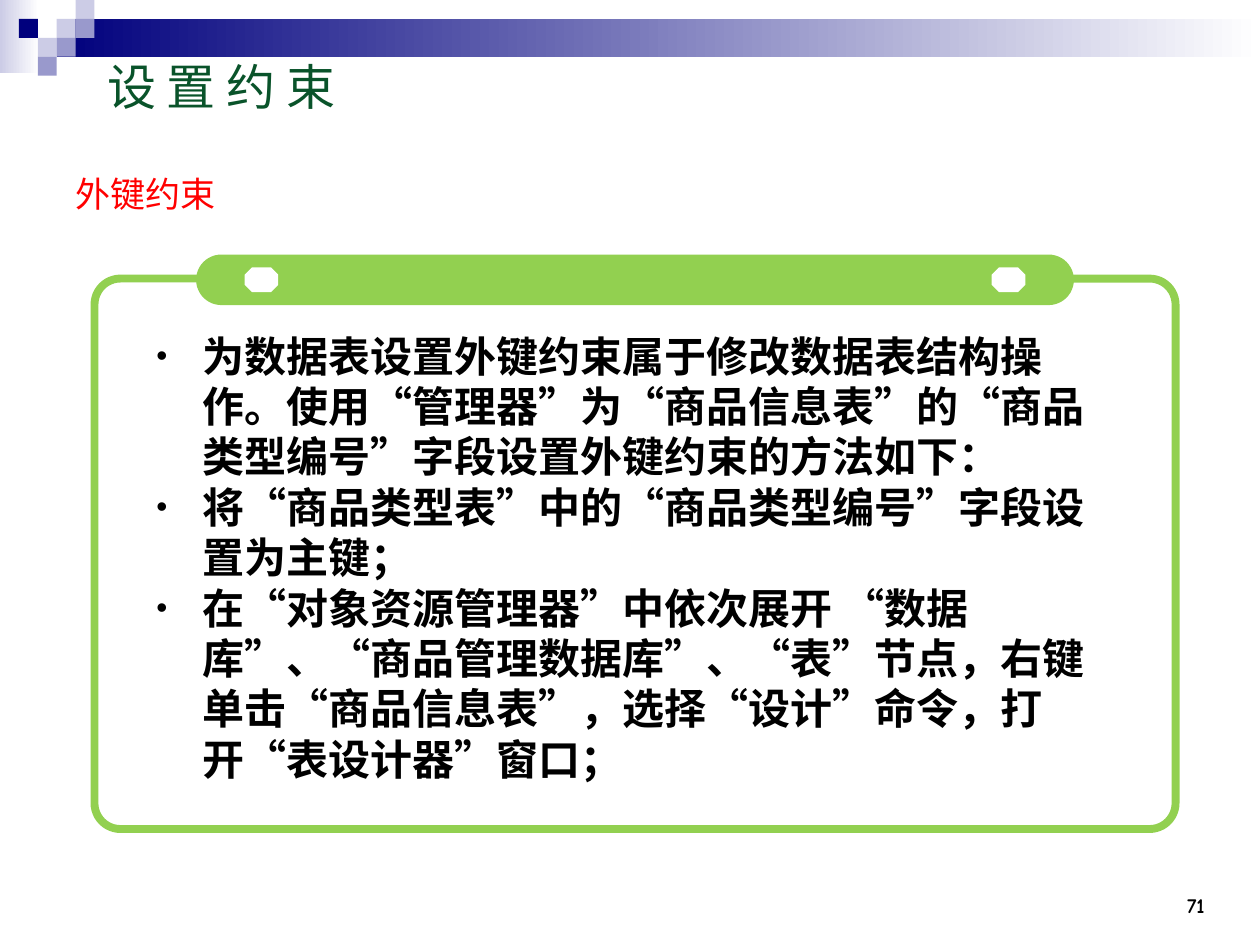
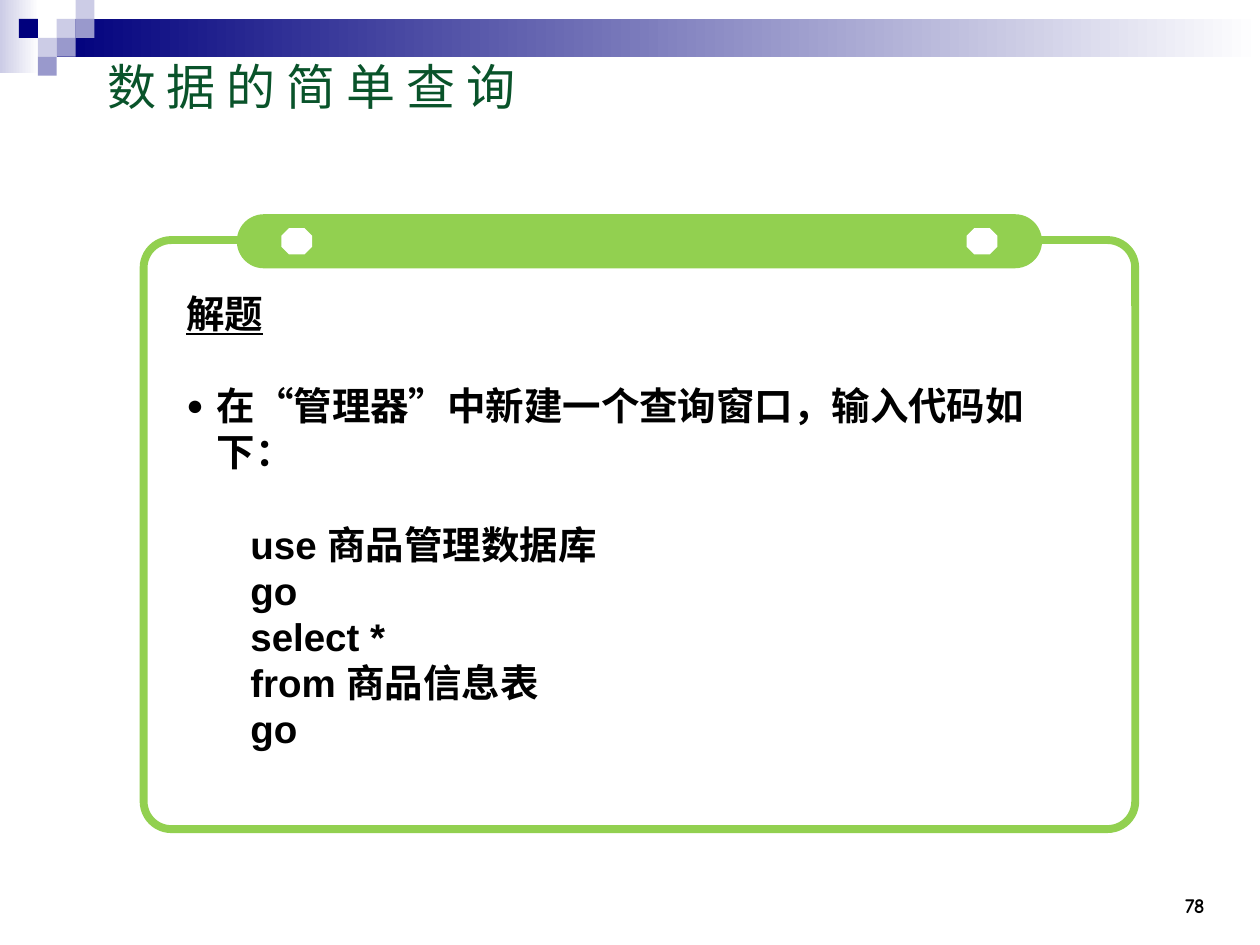
from lxml.etree import SubElement
from pptx import Presentation
from pptx.dml.color import RGBColor
from pptx.enum.lang import MSO_LANGUAGE_ID as Language
from pptx.enum.shapes import MSO_SHAPE as Shape
from pptx.enum.text import MSO_ANCHOR as Anchor, MSO_AUTO_SIZE as AutoSize, PP_ALIGN as Align
from pptx.oxml.ns import qn
from pptx.util import Inches, Pt

COLORS = {
    "navy": "00007D",
    "lilac": "CCCCE6",
    "violet": "9999CC",
    "title": "09532A",
    "subtitle": "FF0000",
    "panel": "92D050",
    "text": "000000",
    "white": "FFFFFF",
}
CJK_FONT = "Noto Sans CJK SC"
LATIN_FONT = "Arial"
NUMBER_FONT = "Comic Neue"
LINE_RATIO = 1.2

# Corner mosaic: column, row, colour
CELL = 0.15
MOSAIC = [
    (3, 1, "lilac"), (4, 0, "lilac"), (4, 1, "violet"), (2, 2, "lilac"),
    (1, 1, "navy"), (3, 2, "violet"), (2, 3, "violet"),
]

CONSTRAINT_STEPS = [
    "为数据表设置外键约束属于修改数据表结构操作。使用“管理器”为“商品信息表”的“商品类型编号”字段设置外键约束的方法如下：",
    "将“商品类型表”中的“商品类型编号”字段设置为主键；",
    "在“对象资源管理器”中依次展开 “数据库”、“商品管理数据库”、“表”节点，右键单击“商品信息表”，选择“设计”命令，打开“表设计器”窗口；",
]
QUERY_HEADING = "解题"
QUERY_STEP = "在“管理器”中新建一个查询窗口，输入代码如下："
QUERY_CODE = [
    "      use 商品管理数据库",
    "      go",
    "      select *",
    "      from 商品信息表",
    "      go",
]


def color(name):
    return RGBColor.from_string(COLORS[name])


def place(shape, left, top, width, height):
    shape.left, shape.top = Inches(left), Inches(top)
    shape.width, shape.height = Inches(width), Inches(height)


# Text
def set_bullet(paragraph, char=None, indent=0):
    """Give the paragraph a hanging bullet, or none at all."""
    properties = paragraph._p.get_or_add_pPr()
    properties.set("marL", str(Inches(indent)))
    properties.set("indent", str(-Inches(indent)))
    if char is None:
        SubElement(properties, qn("a:buNone"))
        return
    bullet_color = SubElement(properties, qn("a:buClr"))
    SubElement(bullet_color, qn("a:srgbClr")).set("val", COLORS["text"])
    SubElement(properties, qn("a:buSzPct")).set("val", "75000")
    SubElement(properties, qn("a:buFont")).set("typeface", LATIN_FONT)
    SubElement(properties, qn("a:buChar")).set("char", char)


def format_runs(paragraph, size, font_name, color_name="text", bold=False, underline=False):
    for run in paragraph.runs:
        font = run.font
        font.name, font.size = font_name, Pt(size)
        font.bold, font.underline = bold, underline
        font.color.rgb = color(color_name)
        font.language_id = Language.SIMPLIFIED_CHINESE
        latin = run._r.get_or_add_rPr().find(qn("a:latin"))
        east_asian = latin.makeelement(qn("a:ea"), {"typeface": CJK_FONT})
        latin.addnext(east_asian)


def add_label(slide, box, text, size, font_name, color_name="text", bold=False,
              align=Align.LEFT, anchor=Anchor.TOP):
    text_frame = slide.shapes.add_textbox(*map(Inches, box)).text_frame
    text_frame.word_wrap = True
    text_frame.vertical_anchor = anchor
    text_frame.text = text
    paragraph = text_frame.paragraphs[0]
    paragraph.alignment = align
    format_runs(paragraph, size, font_name, color_name, bold)


def set_title(slide, text):
    title = slide.shapes.title
    place(title, 0.75, 0.21, 6.8, 0.95)
    text_frame = title.text_frame
    text_frame.text = text
    text_frame.auto_size = AutoSize.NONE
    text_frame.vertical_anchor = Anchor.MIDDLE
    paragraph = text_frame.paragraphs[0]
    paragraph.alignment = Align.LEFT
    format_runs(paragraph, 28, CJK_FONT, "title")


def fill_body(slide, box, lines, size):
    """Fill the body placeholder and return its paragraphs."""
    body = slide.placeholders[1]
    place(body, *box)
    text_frame = body.text_frame
    text_frame.text = "\n".join(lines)
    text_frame.auto_size = AutoSize.NONE
    text_frame.vertical_anchor = Anchor.TOP
    for paragraph in text_frame.paragraphs:
        paragraph.space_before = Pt(0)
        paragraph.line_spacing = Pt(size * LINE_RATIO)
        # Keep closing punctuation inside the margin
        paragraph._p.get_or_add_pPr().set("hangingPunct", "0")
    return text_frame.paragraphs


# Shapes
def add_block(shapes, kind, box, fill=None, line=None, adjustment=None):
    shape = shapes.add_shape(kind, *map(Inches, box))
    shape.shadow.inherit = False
    if fill:
        shape.fill.solid()
        shape.fill.fore_color.rgb = color(fill)
    else:
        shape.fill.background()
    if line:
        shape.line.color.rgb = color(line)
        shape.line.width = Pt(4.5)
    else:
        shape.line.fill.background()
    if adjustment is not None:
        shape.adjustments[0] = adjustment
    return shape


def add_fade(shapes, box, start):
    fill = add_block(shapes, Shape.RECTANGLE, box).fill
    fill.gradient()
    fill.gradient_angle = 0
    for stop, name in zip(fill.gradient_stops, (start, "white")):
        stop.color.rgb = color(name)


def add_header(slide):
    shapes = slide.shapes.add_group_shape().shapes
    add_fade(shapes, (0, 0, 0.31, 0.58), "lilac")
    add_fade(shapes, (0.45, 0.15, 9.55, 0.3), "navy")
    for column, row, name in MOSAIC:
        add_block(shapes, Shape.RECTANGLE, (column * CELL, row * CELL, CELL, CELL), name)


def add_clipboard(slide, left, top, width, height):
    """Draw a rounded frame with a bar and two knobs, scaled to the box."""
    shapes = slide.shapes.add_group_shape().shapes
    frame_drop = 0.042 * height
    bar_inset, bar_height = 0.094 * width, 0.088 * height
    knob_inset, knob_width, knob_height = 0.139 * width, 0.031 * width, 0.043 * height
    knob_top = top + (bar_height - knob_height) / 2

    add_block(shapes, Shape.ROUNDED_RECTANGLE,
              (left, top + frame_drop, width, height - frame_drop),
              line="panel", adjustment=0.047)
    add_block(shapes, Shape.ROUNDED_RECTANGLE,
              (left + bar_inset, top, width - 2 * bar_inset, bar_height),
              "panel", adjustment=0.5)
    for knob_left in (left + knob_inset, left + width - knob_inset - knob_width):
        add_block(shapes, Shape.OCTAGON, (knob_left, knob_top, knob_width, knob_height),
                  "white", adjustment=0.293)


def start_slide(presentation, title, number):
    slide = presentation.slides.add_slide(presentation.slide_layouts[1])
    add_header(slide)
    set_title(slide, title)
    add_label(slide, (8.83, 6.83, 0.83, 0.5), number, 12, NUMBER_FONT, bold=True,
              align=Align.RIGHT, anchor=Anchor.BOTTOM)
    return slide


# Slides
def build_constraint_slide(presentation):
    slide = start_slide(presentation, "设 置 约 束", "71")
    add_label(slide, (0.5, 1.32, 2.52, 0.44), "外键约束", 20, LATIN_FONT, "subtitle")
    add_clipboard(slide, 0.75, 2.02, 8.58, 4.56)
    for paragraph in fill_body(slide, (1.14, 2.57, 7.8, 3.7), CONSTRAINT_STEPS, 24):
        set_bullet(paragraph, "•", 0.37)
        format_runs(paragraph, 24, CJK_FONT, bold=True)


def build_query_slide(presentation):
    slide = start_slide(presentation, "数 据 的 简 单 查 询", "78")
    add_clipboard(slide, 1.14, 1.7, 7.87, 4.88)
    size = 22
    paragraphs = fill_body(slide, (1.38, 2.25, 7.4, 3.4),
                           [QUERY_HEADING, QUERY_STEP, *QUERY_CODE], size)
    heading, step, *code = paragraphs
    for paragraph in (heading, *code):
        set_bullet(paragraph)
    set_bullet(step, "●", 0.24)
    for paragraph in (step, code[0]):
        paragraph.space_before = Pt(size * LINE_RATIO)
    for paragraph in paragraphs:
        format_runs(paragraph, size, LATIN_FONT, bold=True, underline=paragraph is heading)


def main():
    presentation = Presentation()
    presentation.slide_width, presentation.slide_height = Inches(10), Inches(7.5)
    build_constraint_slide(presentation)
    build_query_slide(presentation)
    presentation.save("out.pptx")


if __name__ == "__main__":
    main()
